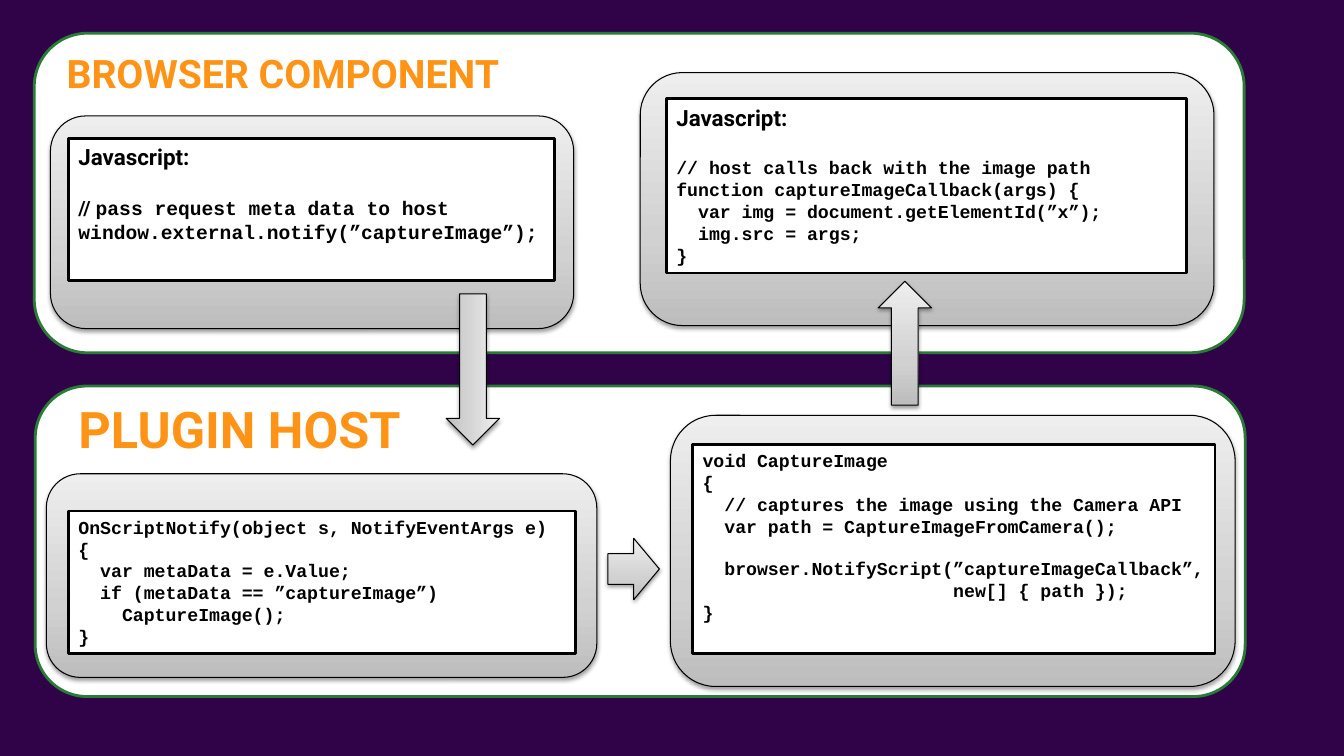
"""Build a slide on image capture calls between a browser page and its host."""
from dataclasses import dataclass

from lxml import etree
from pptx import Presentation
from pptx.dml.color import RGBColor
from pptx.enum.shapes import MSO_SHAPE
from pptx.enum.text import MSO_ANCHOR, PP_ALIGN
from pptx.oxml.ns import qn
from pptx.shapes.autoshape import Shape
from pptx.slide import Slide
from pptx.util import Emu, Pt

PX = 9144
RECT, ROUND = MSO_SHAPE.RECTANGLE, MSO_SHAPE.ROUNDED_RECTANGLE
RIGHT, UP = MSO_SHAPE.RIGHT_ARROW, MSO_SHAPE.UP_ARROW
TOP, LEFT = MSO_ANCHOR.TOP, PP_ALIGN.LEFT
PURPLE = RGBColor(0x30, 0x03, 0x49)
GREEN = RGBColor(0x29, 0x7C, 0x35)
ORANGE = RGBColor(0xFF, 0x93, 0x16)
WHITE = RGBColor(0xFF, 0xFF, 0xFF)
BLACK = RGBColor(0x00, 0x00, 0x00)
GREY_STOPS = ((0, "BDBDBD"), (35, "D1D1D1"), (100, "EEEEEE"))
CODE, SANS = "Courier New", "Roboto"


@dataclass(frozen=True)
class Box:
    x: int
    y: int
    w: int
    h: int

    def emu(self) -> tuple[Emu, Emu, Emu, Emu]:
        return Emu(self.x * PX), Emu(self.y * PX), Emu(self.w * PX), Emu(self.h * PX)


@dataclass(frozen=True)
class Line:
    text: str
    size: int = 13
    font: str = CODE
    gap: float = 0
    lead: str = ""


@dataclass(frozen=True)
class Card:
    frame: Box
    code: Box
    lines: tuple[Line, ...]


@dataclass(frozen=True)
class Heading:
    text: str
    box: Box
    size: int


@dataclass(frozen=True)
class Arrow:
    kind: MSO_SHAPE
    box: Box
    rotation: int = 0


def code_lines(text: str) -> tuple[Line, ...]:
    return tuple(Line(t) for t in text.split("\n"))


JS_TITLE = Line("Javascript:", 16, SANS)

HOST_PANEL = Box(35, 383, 1200, 308)
HOST_HEADING = Heading("PLUGIN HOST", Box(68, 390, 360, 71), 36)
HOST_CARDS = (
    Card(Box(46, 470, 546, 202), Box(68, 507, 503, 141), code_lines("""\
OnScriptNotify(object s, NotifyEventArgs e)
{
  var metaData = e.Value;
  if (metaData == ”captureImage”)
    CaptureImage();
}""")),
    Card(Box(665, 412, 560, 269), Box(687, 441, 518, 207), (
        *code_lines("""\
void CaptureImage
{
  // captures the image using the Camera API
  var path = CaptureImageFromCamera();"""),
        Line("  browser.NotifyScript(”captureImageCallback”,", gap=14.7),
        *code_lines("""\
                       new[] { path });
}"""))),
)

BROWSER_PANEL = Box(34, 33, 1200, 317)
BROWSER_HEADING = Heading("BROWSER COMPONENT", Box(56, 44, 481, 57), 28)
BROWSER_CARDS = (
    Card(Box(50, 115, 519, 211), Box(68, 137, 482, 141), (
        JS_TITLE,
        Line("pass request meta data to host", 14, gap=18.7, lead="// "),
        Line("window.external.notify(”captureImage”);", 14))),
    Card(Box(635, 72, 569, 251), Box(661, 98, 516, 173), (
        JS_TITLE,
        Line("// host calls back with the image path", gap=18.7),
        *code_lines("""\
function captureImageCallback(args) {
  var img = document.getElementId(”x”);
  img.src = args;
}"""))),
)

ARROWS = (
    Arrow(RIGHT, Box(603, 534, 51, 61)),
    Arrow(RIGHT, Box(394, 340, 150, 53), 90),
    Arrow(UP, Box(871, 279, 53, 123)),
)


def add_box(slide: Slide, kind: MSO_SHAPE, box: Box, line: RGBColor, width: float) -> Shape:
    s = slide.shapes.add_shape(kind, *box.emu())
    s.shadow.inherit = False
    s.fill.solid()
    s.fill.fore_color.rgb = WHITE
    s.line.color.rgb = line
    s.line.width = Pt(width)
    return s


def add_grey(slide: Slide, kind: MSO_SHAPE, box: Box) -> Shape:
    s = add_box(slide, kind, box, BLACK, 0.75)
    s.fill.gradient()
    s.fill.gradient_angle = 90
    stops = next(s.element.iter(qn("a:gsLst")))
    for stop in list(stops):
        stops.remove(stop)
    for pos, rgb in GREY_STOPS:
        gs = etree.SubElement(stops, qn("a:gs"), pos=str(pos * 1000))
        etree.SubElement(gs, qn("a:srgbClr"), val=rgb)
    effects = next(s.element.iter(qn("a:effectLst")))
    shadow = etree.SubElement(effects, qn("a:outerShdw"), blurRad=str(Pt(3.1)),
                              dist=str(Pt(1.6)), dir="5400000", rotWithShape="0")
    color = etree.SubElement(shadow, qn("a:srgbClr"), val="000000")
    etree.SubElement(color, qn("a:alpha"), val="38000")
    return s


def add_card(slide: Slide, card: Card) -> None:
    add_grey(slide, ROUND, card.frame)
    tf = add_box(slide, RECT, card.code, BLACK, 2).text_frame
    tf.word_wrap = True
    tf.vertical_anchor = TOP
    tf.margin_right = 0
    for i, line in enumerate(card.lines):
        p = tf.add_paragraph() if i else tf.paragraphs[0]
        p.alignment = LEFT
        if line.gap:
            p.space_before = Pt(line.gap)
        p.font.size = Pt(line.size)
        p.font.bold = True
        p.font.color.rgb = BLACK
        if line.lead:
            for text, font in ((line.lead, SANS), (line.text, line.font)):
                r = p.add_run()
                r.text = text
                r.font.name = font
        else:
            p.add_run().text = line.text
            p.font.name = line.font


def set_heading(s: Shape, heading: Heading) -> None:
    s.left, s.top, s.width, s.height = heading.box.emu()
    tf = s.text_frame
    tf.text = heading.text
    tf.word_wrap = True
    tf.vertical_anchor = TOP
    p = tf.paragraphs[0]
    p.alignment = LEFT
    p.line_spacing = 1.0
    p.font.name = SANS
    p.font.size = Pt(heading.size)
    p.font.bold = True
    p.font.color.rgb = ORANGE


def add_panel(slide: Slide, panel: Box, cards: tuple[Card, ...]) -> None:
    add_box(slide, ROUND, panel, GREEN, 2)
    for card in cards:
        add_card(slide, card)


def main() -> None:
    prs = Presentation()
    prs.slide_width, prs.slide_height = Emu(1333 * PX), Emu(750 * PX)
    slide = prs.slides.add_slide(prs.slide_layouts[5])
    slide.background.fill.solid()
    slide.background.fill.fore_color.rgb = PURPLE
    add_panel(slide, HOST_PANEL, HOST_CARDS)
    set_heading(slide.shapes.add_textbox(*HOST_HEADING.box.emu()), HOST_HEADING)
    add_panel(slide, BROWSER_PANEL, BROWSER_CARDS)
    title = slide.shapes.title
    title.element.getparent().append(title.element)
    set_heading(title, BROWSER_HEADING)
    for arrow in ARROWS:
        add_grey(slide, arrow.kind, arrow.box).rotation = arrow.rotation
    prs.save("out.pptx")


if __name__ == "__main__":
    main()
